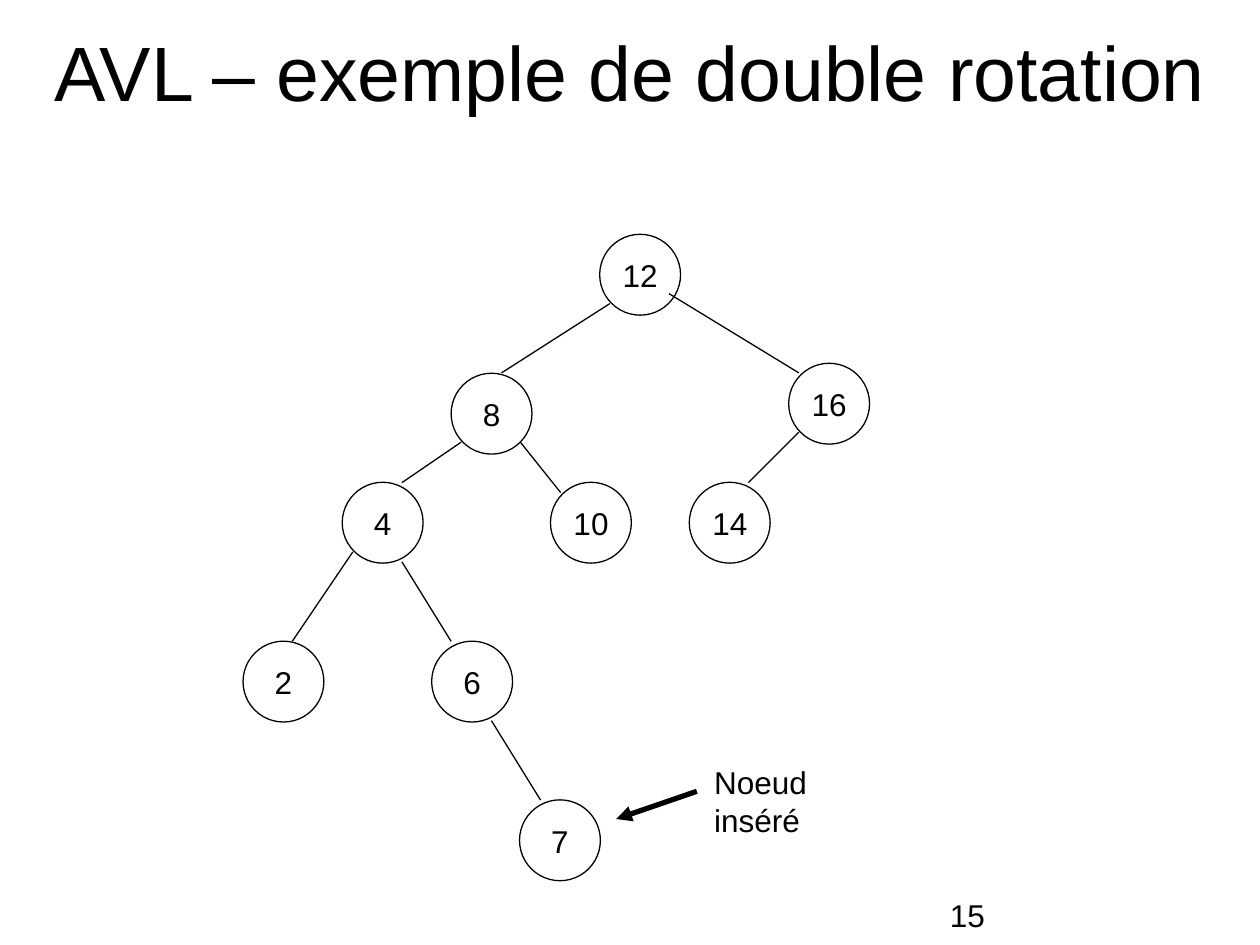
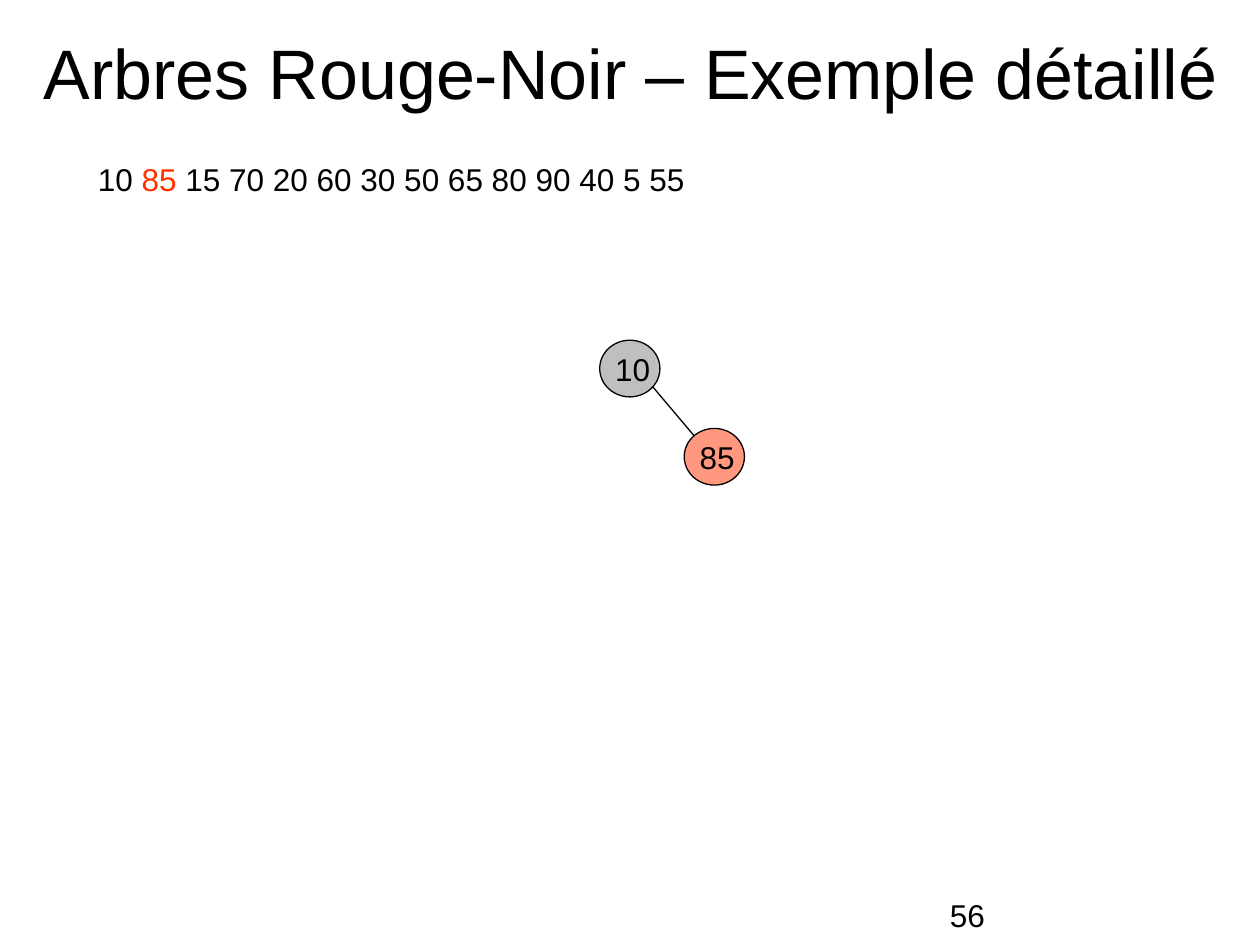
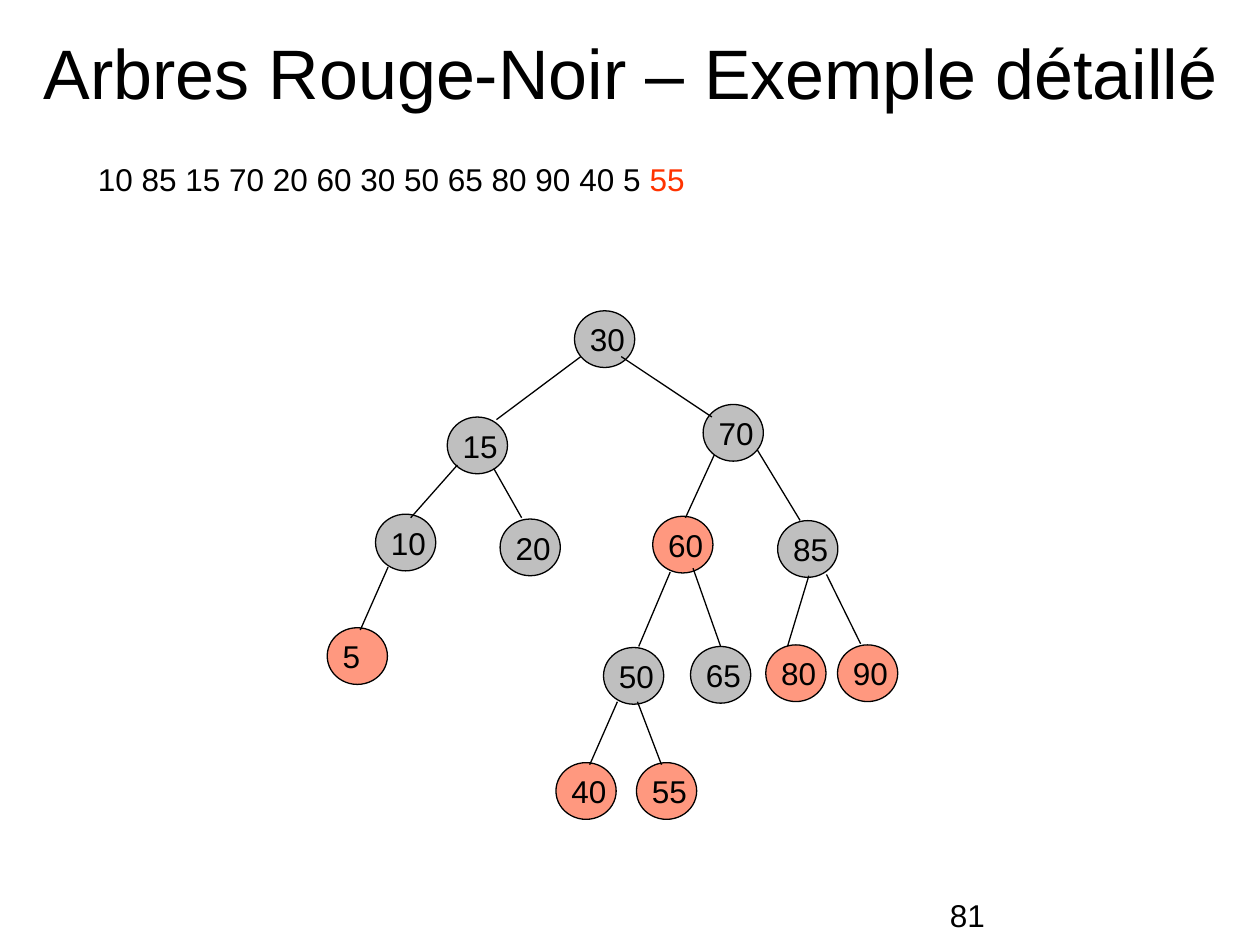
from dataclasses import dataclass

from lxml import etree
from pptx import Presentation
from pptx.dml.color import RGBColor
from pptx.enum.shapes import MSO_CONNECTOR, MSO_SHAPE
from pptx.enum.text import MSO_ANCHOR, MSO_AUTO_SIZE, PP_ALIGN
from pptx.oxml.ns import qn
from pptx.util import Pt

OVAL = MSO_SHAPE.OVAL
STRAIGHT = MSO_CONNECTOR.STRAIGHT
LEFT, CENTER = PP_ALIGN.LEFT, PP_ALIGN.CENTER
TOP, MIDDLE = MSO_ANCHOR.TOP, MSO_ANCHOR.MIDDLE
GROW, FIXED = MSO_AUTO_SIZE.SHAPE_TO_FIT_TEXT, MSO_AUTO_SIZE.NONE


@dataclass(frozen=True)
class Theme:
    font: str = "Arial"
    ink: RGBColor = RGBColor(0, 0, 0)
    red: RGBColor = RGBColor(0xFF, 0x33, 0x00)
    black_node: RGBColor = RGBColor(0x80, 0x80, 0x80)
    node_alpha: int = 50
    body_size: int = 18
    line_width: float = 0.75
    arrow_width: float = 3
    inset_x: float = 7.2
    inset_y: float = 3.6
    digit_width: float = 10.1


THEME = Theme()

# Content: nodes are (value, left, top), edges are (x1, y1, x2, y2), in points
SEQUENCE = "10 85 15 70 20 60 30 50 65 80 90 40 5 55"
RED_BLACK_TITLE = "Arbres Rouge-Noir – Exemple détaillé"

SLIDES = [
    {
        "title": "AVL – exemple de double rotation", "title_size": 44, "page": "15",
        "style": "avl",
        "nodes": [
            ("12", 342.7, 133.9), ("8", 257.8, 213.3), ("16", 450.7, 207.6),
            ("4", 195.6, 275.6), ("10", 314.6, 275.6), ("14", 393.9, 275.6),
            ("2", 138.9, 366.4), ("6", 246.7, 366.4), ("7", 296.9, 457.1),
        ],
        "edges": [
            (348.5, 173.5, 286.6, 213.1), (382.3, 167.8, 456.5, 213.1),
            (456.5, 247, 427.7, 275.8), (263.5, 252.7, 229.7, 275.8),
            (229.7, 321.1, 257.8, 366.5), (201.6, 315.4, 167, 366.5),
            (280.8, 411.8, 308.9, 457.2), (297.4, 252.7, 320.4, 281.5),
        ],
        "note": ("Noeud inséré", 401, 432.7, 121, 28.8),
        "arrow": (398.2, 452.2, 352.1, 468),
    },
    {
        "title": RED_BLACK_TITLE, "title_size": 40, "page": "56",
        "style": "red_black", "inserted": "85", "red_nodes": {"85"},
        "nodes": [("10", 342.7, 194.4), ("85", 391, 244.8)],
        "edges": [(373, 221, 396.7, 249.1)],
    },
    {
        "title": RED_BLACK_TITLE, "title_size": 40, "page": "81",
        "style": "red_black", "inserted": "55",
        "red_nodes": {"60", "80", "90", "40", "5", "55"},
        "nodes": [
            ("30", 328.3, 177.6), ("15", 255.6, 238.3), ("70", 401.8, 231.1),
            ("10", 214.6, 293.8), ("20", 285.8, 296.6), ("60", 373, 295),
            ("85", 444.4, 297.5), ("5", 187, 358.7), ("50", 344.9, 370),
            ("65", 394.6, 369.4), ("80", 437.6, 368.5), ("90", 478.6, 368.5),
            ("40", 317.7, 435.8), ("55", 363.7, 435.8),
        ],
        "edges": [
            (331.9, 203.8, 283.7, 239.8), (355, 203.8, 406.8, 238.3),
            (261.4, 265.7, 234.7, 295.9), (282.2, 267.8, 298.1, 295.9),
            (408.2, 259.9, 391.7, 295.9), (432.7, 257, 457.2, 297.4),
            (221.8, 324, 205.9, 360), (383, 326.9, 365, 369.4),
            (396, 324.7, 411.8, 369.4), (462.2, 329, 450, 369.4),
            (472.3, 328.3, 491.8, 367.9), (352.8, 401, 337, 437),
            (364.3, 401, 378, 437),
        ],
    },
]


def add_text(slide, runs, box, size=THEME.body_size, align=LEFT, anchor=TOP,
             wrap=False, grow=True, inset=True):
    """Add one paragraph of (text, colour) runs."""
    shape = slide.shapes.add_textbox(*(Pt(length) for length in box))
    inset_x, inset_y = (THEME.inset_x, THEME.inset_y) if inset else (0, 0)
    frame_format = {
        "margin_left": Pt(inset_x), "margin_right": Pt(inset_x),
        "margin_top": Pt(inset_y), "margin_bottom": Pt(inset_y),
        "word_wrap": wrap, "vertical_anchor": anchor,
        "auto_size": GROW if grow else FIXED,
    }
    for name, value in frame_format.items():
        setattr(shape.text_frame, name, value)
    paragraph = shape.text_frame.paragraphs[0]
    paragraph.alignment = align
    for text, color in runs:
        run = paragraph.add_run()
        run.text = text
        for name, value in {"name": THEME.font, "size": Pt(size)}.items():
            setattr(run.font, name, value)
        run.font.color.rgb = color


def add_line(slide, points, width=THEME.line_width, arrow=False):
    line = slide.shapes.add_connector(STRAIGHT, *(Pt(value) for value in points))
    line.line.color.rgb = THEME.ink
    line.line.width = Pt(width)
    if arrow:
        etree.SubElement(line.line._get_or_add_ln(), qn("a:tailEnd"), type="triangle")
    etree.SubElement(line._element.spPr, qn("a:effectLst"))


def add_circle(slide, box, fill=None):
    circle = slide.shapes.add_shape(OVAL, *(Pt(length) for length in box))
    circle.shadow.inherit = False
    circle.line.color.rgb = THEME.ink
    circle.line.width = Pt(THEME.line_width)
    if fill is None:
        circle.fill.background()
        return
    circle.fill.solid()
    circle.fill.fore_color.rgb = fill
    color = circle._element.spPr.find(qn("a:solidFill"))[0]
    etree.SubElement(color, qn("a:alpha"), val=str(THEME.node_alpha * 1000))


def add_avl_node(slide, value, left, top):
    diameter = 46.2
    add_circle(slide, (left, top, diameter, diameter))
    width = THEME.digit_width * len(value)
    label = (left + (diameter - width) / 2, top + 12.5, width, 21.6)
    add_text(slide, [(value, THEME.ink)], label, align=CENTER, inset=False)


def add_red_black_node(slide, value, left, top, red):
    add_circle(slide, (left, top, 34.4, 32.4), THEME.red if red else THEME.black_node)
    width = THEME.digit_width * len(value) + 2 * THEME.inset_x
    add_text(slide, [(value, THEME.ink)], (left + 1.7, top + 1.9, width, 28.8))


def add_sequence(slide, inserted):
    before, current, after = SEQUENCE.partition(inserted)
    parts = [(before, THEME.ink), (current, THEME.red), (after, THEME.ink)]
    runs = [(text, color) for text, color in parts if text]
    add_text(slide, runs, (48.8, 88, 359.3, 28.8))


def build_slide(presentation, content):
    slide = presentation.slides.add_slide(presentation.slide_layouts[6])

    # Title and page number
    add_text(slide, [(content["title"], THEME.ink)], (14.2, 9.4, 692, 62.4),
             content["title_size"], CENTER, MIDDLE, wrap=True, grow=False)
    add_text(slide, [(content["page"], THEME.ink)], (535.7, 508.3, 170, 20.2),
             wrap=True, grow=False)

    # Tree
    if content["style"] == "red_black":
        add_sequence(slide, content["inserted"])
        for value, left, top in content["nodes"]:
            add_red_black_node(slide, value, left, top, value in content["red_nodes"])
    else:
        for node in content["nodes"]:
            add_avl_node(slide, *node)
    for edge in content["edges"]:
        add_line(slide, edge)

    # Callout on the inserted node
    if "note" in content:
        text, *box = content["note"]
        add_text(slide, [(text, THEME.ink)], box)
        add_line(slide, content["arrow"], THEME.arrow_width, arrow=True)


def main():
    presentation = Presentation()
    presentation.slide_width, presentation.slide_height = Pt(720), Pt(540)
    for content in SLIDES:
        build_slide(presentation, content)
    presentation.save("out.pptx")


if __name__ == "__main__":
    main()
